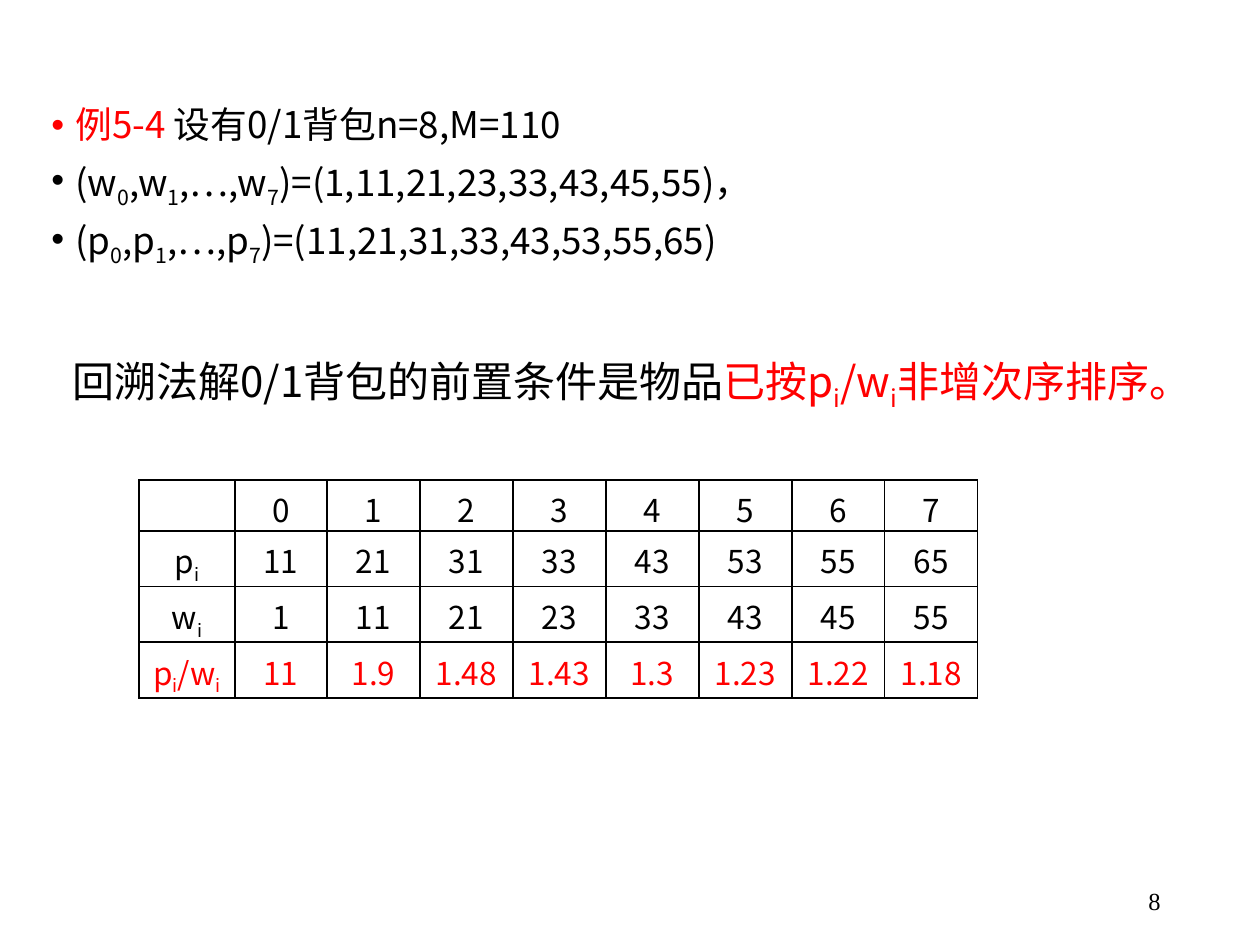
from lxml.etree import SubElement as Sub
from pptx import Presentation
from pptx.dml.color import RGBColor as RGB
from pptx.enum.text import MSO_ANCHOR as Anchor, PP_ALIGN as Align
from pptx.oxml.ns import qn
from pptx.util import Emu, Pt

COLORS = {"ink": "000000", "red": "FF0000"}
SANS, SERIF = "Noto Sans CJK SC", "Times New Roman"

# "_" puts the next character in subscript
ITEMS = [
    [("例5-4 ", "red"), ("设有0/1背包n=8,M=110", "ink")],
    [("(w_0,w_1,…,w_7)=(1,11,21,23,33,43,45,55)，", "ink")],
    [("(p_0,p_1,…,p_7)=(11,21,31,33,43,53,55,65)", "ink")],
]
RULE = [("回溯法解0/1背包的前置条件是物品", "ink"),
        ("已按p_i/w_i非增次序排序。", "red")]
ROWS = [
    ["", *range(8)],
    ["p_i", 11, 21, 31, 33, 43, 53, 55, 65],
    ["w_i", 1, 11, 21, 23, 33, 43, 45, 55],
    ["p_i/w_i", 11, 1.9, 1.48, 1.43, 1.3, 1.23, 1.22, 1.18],
]
WIDTHS = [96, 92] + [93] * 7
ROW_H = 51


def px(n):
    return Emu(round(n * 914400 / 126))


def add_run(para, text, color, sub=False):
    run = para.add_run()
    run.text = text
    run.font.color.rgb = RGB.from_string(COLORS[color])
    if sub:
        run.font._element.set("baseline", "-25000")


def write(para, parts, size, face=SANS, align=Align.LEFT):
    """Fill a paragraph with (text, colour) parts."""
    para.alignment = align
    para.font.size = Pt(size)
    para.font.name = face
    Sub(para.font._element, qn("a:ea")).set("typeface", face)
    for text, color in parts:
        head, *tail = text.split("_")
        if head:
            add_run(para, head, color)
        for piece in tail:
            add_run(para, piece[0], color, sub=True)
            if piece[1:]:
                add_run(para, piece[1:], color)


def hang(para, indent, bullet=None):
    props = para._p.get_or_add_pPr()
    props.set("marL", str(px(indent)))
    props.set("indent", str(-px(indent)))
    if bullet:
        Sub(props, qn("a:buFont")).set("typeface", "Arial")
        Sub(props, qn("a:buChar")).set("char", bullet)


def add_box(slide, x, y, w, h):
    frame = slide.shapes.add_textbox(px(x), px(y), px(w), px(h)).text_frame
    frame.word_wrap = True
    return frame


def add_list(slide):
    frame = add_box(slide, 39, 101, 1029, 181)
    for i, parts in enumerate(ITEMS):
        para = frame.add_paragraph() if i else frame.paragraphs[0]
        para.line_spacing = 0.9
        if i:
            para.space_before = Pt(7.5)
        hang(para, 24, "•")
        write(para, parts, 21)


def add_rule(slide):
    para = add_box(slide, 60, 349, 1119, 68).paragraphs[0]
    hang(para, 48)
    write(para, RULE, 24)


def add_edges(cell):
    props = cell._tc.get_or_add_tcPr()
    for i, side in enumerate(("lnL", "lnR", "lnT", "lnB")):
        line = props.makeelement(qn(f"a:{side}"), {"w": str(Pt(1))})
        fill = Sub(line, qn("a:solidFill"))
        Sub(fill, qn("a:srgbClr")).set("val", COLORS["ink"])
        props.insert(i, line)


def add_grid(slide):
    table = slide.shapes.add_table(
        len(ROWS), len(WIDTHS), px(139), px(480),
        px(sum(WIDTHS)), px(ROW_H * len(ROWS))).table
    table.first_row = table.horz_banding = False
    for col, width in zip(table.columns, WIDTHS):
        col.width = px(width)
    for r, values in enumerate(ROWS):
        table.rows[r].height = px(ROW_H)
        color = "red" if r == len(ROWS) - 1 else "ink"
        for c, value in enumerate(values):
            cell = table.cell(r, c)
            cell.fill.background()
            add_edges(cell)
            write(cell.text_frame.paragraphs[0], [(str(value), color)], 18,
                  align=Align.CENTER)


def add_number(slide):
    frame = add_box(slide, 890, 876, 283, 50)
    frame.vertical_anchor = Anchor.MIDDLE
    write(frame.paragraphs[0], [("8", "ink")], 14, SERIF, Align.RIGHT)


def main():
    deck = Presentation()
    deck.slide_width, deck.slide_height = px(1260), px(945)
    slide = deck.slides.add_slide(deck.slide_layouts[6])
    add_list(slide)
    add_number(slide)
    add_rule(slide)
    add_grid(slide)
    deck.save("out.pptx")


if __name__ == "__main__":
    main()
